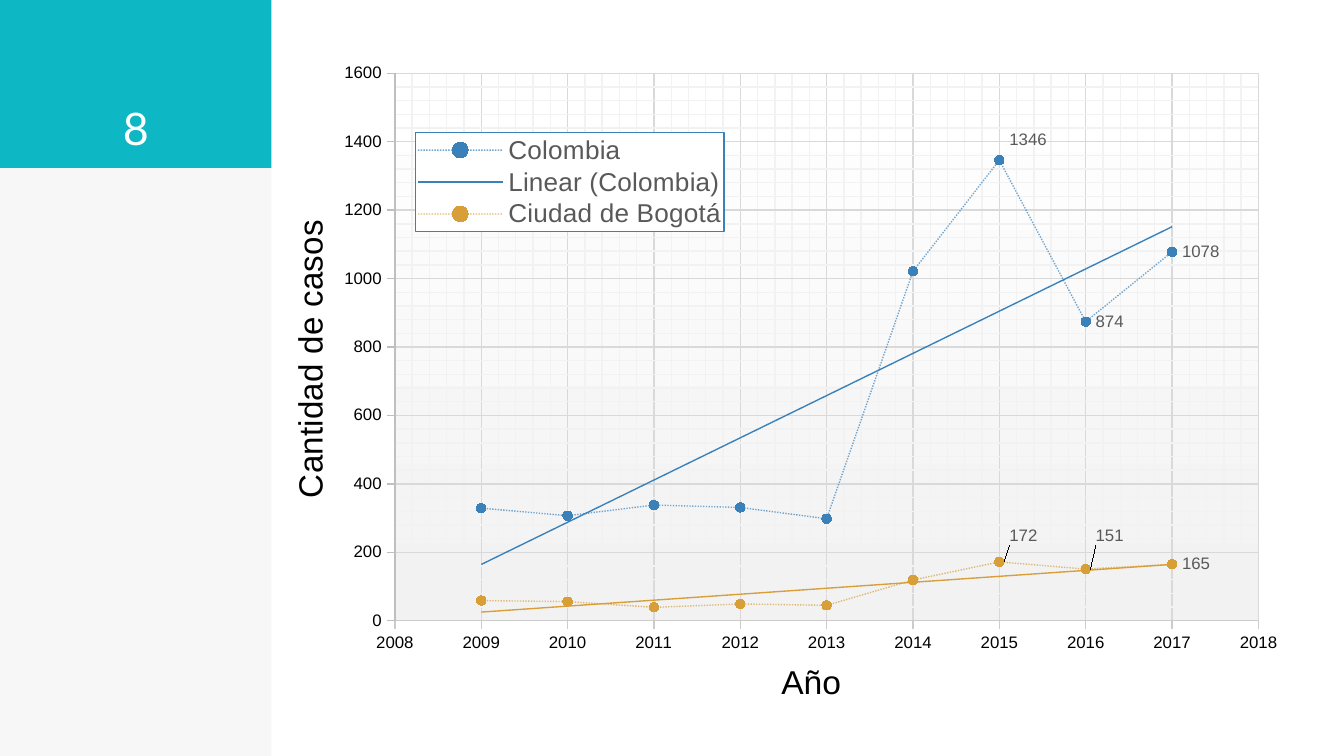
from lxml import etree
from pptx import Presentation
from pptx import util as u
from pptx.chart.data import XyChartData
from pptx.dml.color import RGBColor
from pptx.enum import chart as ch, dml, shapes, text
from pptx.oxml import parse_xml
from pptx.oxml.ns import nsdecls, qn

W = 10
H = W * 9 / 16
SIDE = 0.202 * W
COLORS = {
    "teal": "0DB7C4", "black": "000000", "white": "FFFFFF", "label": "595959",
    "grid": "D9D9D9", "minor": "F2F2F2", "x_axis": "CCCCCC", "y_axis": "BFBFBF",
    "Colombia": "3A81BA", "Ciudad de Bogotá": "D89F39",
}
CASES = {
    "Colombia": [329, 307, 338, 331, 298, 1021, 1346, 874, 1078],
    "Ciudad de Bogotá": [59, 56, 39, 49, 45, 119, 172, 151, 165],
}
LABEL_RISE = {
    "Colombia": {6: -0.03, 7: 0, 8: 0},
    "Ciudad de Bogotá": {6: -0.04, 7: -0.05, 8: 0},
}


def rgb(name):
    """Return a palette colour."""
    return RGBColor.from_string(COLORS[name])


def xml(body):
    """Parse a fragment of chart XML."""
    head, tail = body.split(">", 1)
    slash = "/" if head.endswith("/") else ""
    return parse_xml(f"{head.rstrip('/')} {nsdecls('c', 'a')}{slash}>{tail}")


def set_font(font, size, color, name="Arial"):
    """Format a font."""
    font.size, font.name, font.bold = u.Pt(size), name, False
    font.color.rgb = rgb(color)


def set_line(line, color, width=0.75):
    """Format a line."""
    line.color.rgb = rgb(color)
    line.width = u.Pt(width)


def set_alpha(fill_xml, percent):
    """Make the solid colour below an element translucent."""
    color = next(fill_xml.iter(qn("a:srgbClr")))
    etree.SubElement(color, qn("a:alpha")).set("val", str(percent * 1000))


def layout(x, y, w=None, h=None, inner=False, edge=True):
    """Return a manual layout in shares of the chart."""
    target = '<c:layoutTarget val="inner"/>' if inner else ""
    modes = '<c:xMode val="edge"/><c:yMode val="edge"/>' if edge else ""
    size = f'<c:w val="{w}"/><c:h val="{h}"/>' if w else ""
    return (f'<c:layout><c:manualLayout>{target}{modes}<c:x val="{x}"/>'
            f'<c:y val="{y}"/>{size}</c:manualLayout></c:layout>')


def set_layout(parent, before, *args, **kw):
    """Replace the layout of a chart part, ahead of a given child."""
    for old in parent.findall(qn("c:layout")):
        parent.remove(old)
    parent.find(qn(before)).addprevious(xml(layout(*args, **kw)))


def add_panel(s, height, color, alpha=None):
    """Add a plain rectangle at the left side."""
    sp = s.shapes.add_shape(shapes.MSO_SHAPE.RECTANGLE, 0, 0,
                            u.Inches(SIDE), u.Inches(height))
    sp.shadow.inherit = False
    sp.fill.solid()
    sp.fill.fore_color.rgb = rgb(color)
    sp.line.fill.background()
    if alpha:
        set_alpha(sp.element.spPr, alpha)


def add_number(s, number, height):
    """Add the slide number at the foot of the top panel."""
    sp = s.shapes.add_textbox(0, 0, u.Inches(SIDE), u.Inches(height))
    tf = sp.text_frame
    tf.word_wrap = True
    tf.vertical_anchor = text.MSO_ANCHOR.BOTTOM
    tf.margin_left = tf.margin_right = u.Inches(0.1)
    tf.margin_top = tf.margin_bottom = u.Inches(0.1)
    p = tf.paragraphs[0]
    p.text = number
    p.alignment = text.PP_ALIGN.CENTER
    set_font(p.runs[0].font, 24, "white", "Lato")


def format_axis(axis, title, place, bounds, units, color):
    """Set scale, grid, tick labels and title of an axis."""
    axis.minimum_scale, axis.maximum_scale = bounds
    axis.major_unit, axis.minor_unit = units
    axis.has_major_gridlines = axis.has_minor_gridlines = True
    set_line(axis.major_gridlines.format.line, "grid")
    minor = axis._element.find(qn("c:minorGridlines"))
    minor.append(xml(f'<c:spPr><a:ln w="9525"><a:solidFill><a:srgbClr val="{COLORS["minor"]}"/>'
                     '</a:solidFill></a:ln></c:spPr>'))
    axis.major_tick_mark = ch.XL_TICK_MARK.OUTSIDE
    axis.minor_tick_mark = ch.XL_TICK_MARK.NONE
    set_line(axis.format.line, color)
    set_font(axis.tick_labels.font, 9, "black")
    axis.tick_labels.number_format = "General"
    axis.tick_labels.number_format_is_linked = False
    axis.axis_title.text_frame.text = title
    set_font(axis.axis_title.text_frame.paragraphs[0].runs[0].font, 18, "black")
    set_layout(axis.axis_title._element, "c:overlay", *place)


def label_xml(rises):
    """Return value labels for chosen points, each raised by a share."""
    def shows(value):
        return "".join(f'<c:show{k} val="{int(k == "Val" and value)}"/>' for k in
                       ("LegendKey", "Val", "CatName", "SerName", "Percent", "BubbleSize"))
    font = (f'<c:txPr><a:bodyPr/><a:p><a:pPr><a:defRPr sz="900"><a:solidFill>'
            f'<a:srgbClr val="{COLORS["label"]}"/></a:solidFill><a:latin typeface="Arial"/>'
            '</a:defRPr></a:pPr><a:endParaRPr/></a:p></c:txPr>')
    labels = "".join(
        f'<c:dLbl><c:idx val="{i}"/>{layout(0, dy, edge=False) if dy else ""}{font}'
        f'<c:dLblPos val="r"/>{shows(True)}</c:dLbl>' for i, dy in rises.items())
    return f"<c:dLbls>{labels}{shows(False)}</c:dLbls>"


def format_series(series):
    """Set dotted line, markers, labels and linear trend of a series."""
    name = series.name
    series.smooth = False
    set_line(series.format.line, name)
    series.format.line.dash_style = dml.MSO_LINE.ROUND_DOT
    set_alpha(series._element.spPr, 70)
    series.marker.style, series.marker.size = ch.XL_MARKER_STYLE.CIRCLE, 5
    series.marker.format.fill.solid()
    series.marker.format.fill.fore_color.rgb = rgb(name)
    set_line(series.marker.format.line, name)
    x_values = series._element.find(qn("c:xVal"))
    x_values.addprevious(xml(label_xml(LABEL_RISE[name])))
    x_values.addprevious(xml(
        f'<c:trendline><c:spPr><a:ln w="9525"><a:solidFill><a:srgbClr val="{COLORS[name]}"/>'
        '</a:solidFill></a:ln></c:spPr><c:trendlineType val="linear"/>'
        '<c:dispRSqr val="0"/><c:dispEq val="0"/></c:trendline>'))


def format_legend(chart):
    """Place a framed legend inside the plot."""
    chart.has_legend = True
    legend = chart.legend
    legend.position = ch.XL_LEGEND_POSITION.RIGHT
    legend.include_in_layout = False
    set_font(legend.font, 14, "label")
    box = legend._element
    set_layout(box, "c:overlay", 0.14, 0.14, 0.3, 0.15)
    for i in (2, 3):
        box.find(qn("c:layout")).addprevious(
            xml(f'<c:legendEntry><c:idx val="{i}"/><c:delete val="1"/></c:legendEntry>'))
    box.find(qn("c:overlay")).addnext(xml(
        f'<c:spPr><a:solidFill><a:srgbClr val="{COLORS["white"]}"/></a:solidFill>'
        f'<a:ln w="9525"><a:solidFill><a:srgbClr val="{COLORS["Colombia"]}"/></a:solidFill></a:ln></c:spPr>'))


def add_cases_chart(s):
    """Add the scatter chart of cases by year."""
    data = XyChartData()
    for name, values in CASES.items():
        series = data.add_series(name)
        for year, value in enumerate(values, 2009):
            series.add_data_point(year, value)
    chart = s.shapes.add_chart(ch.XL_CHART_TYPE.XY_SCATTER_LINES, u.Inches(SIDE), u.Inches(0.3),
                               u.Inches(7.65), u.Inches(4.99), data).chart
    chart.has_title = False
    set_font(chart.font, 10, "black")
    chart.plots[0].vary_by_categories = False
    format_axis(chart.category_axis, "Año", (0.49, 0.93), (2008, 2018), (1, 0.2), "x_axis")
    format_axis(chart.value_axis, "Cantidad de casos", (0.01, 0.27), (0, 1600), (200, 40), "y_axis")
    for series in chart.plots[0].series:
        format_series(series)
    format_legend(chart)
    area = chart._chartSpace.chart.plotArea
    set_layout(area, "c:scatterChart", 0.12, 0.05, 0.84, 0.83, inner=True)
    stops = "".join(f'<a:gs pos="{pos}"><a:srgbClr val="{COLORS[c]}"/></a:gs>'
                    for pos, c in ((0, "white"), (100000, "minor")))
    area.append(xml(f'<c:spPr><a:gradFill><a:gsLst>{stops}</a:gsLst>'
                    '<a:lin ang="5400000" scaled="0"/></a:gradFill></c:spPr>'))


def main():
    """Build the slide."""
    prs = Presentation()
    prs.slide_width, prs.slide_height = u.Inches(W), u.Inches(H)
    s = prs.slides.add_slide(prs.slide_layouts[6])
    add_panel(s, H, "black", alpha=3)
    add_panel(s, 1.25, "teal")
    add_number(s, "8", 1.25)
    add_cases_chart(s)
    prs.save("out.pptx")


if __name__ == "__main__":
    main()
